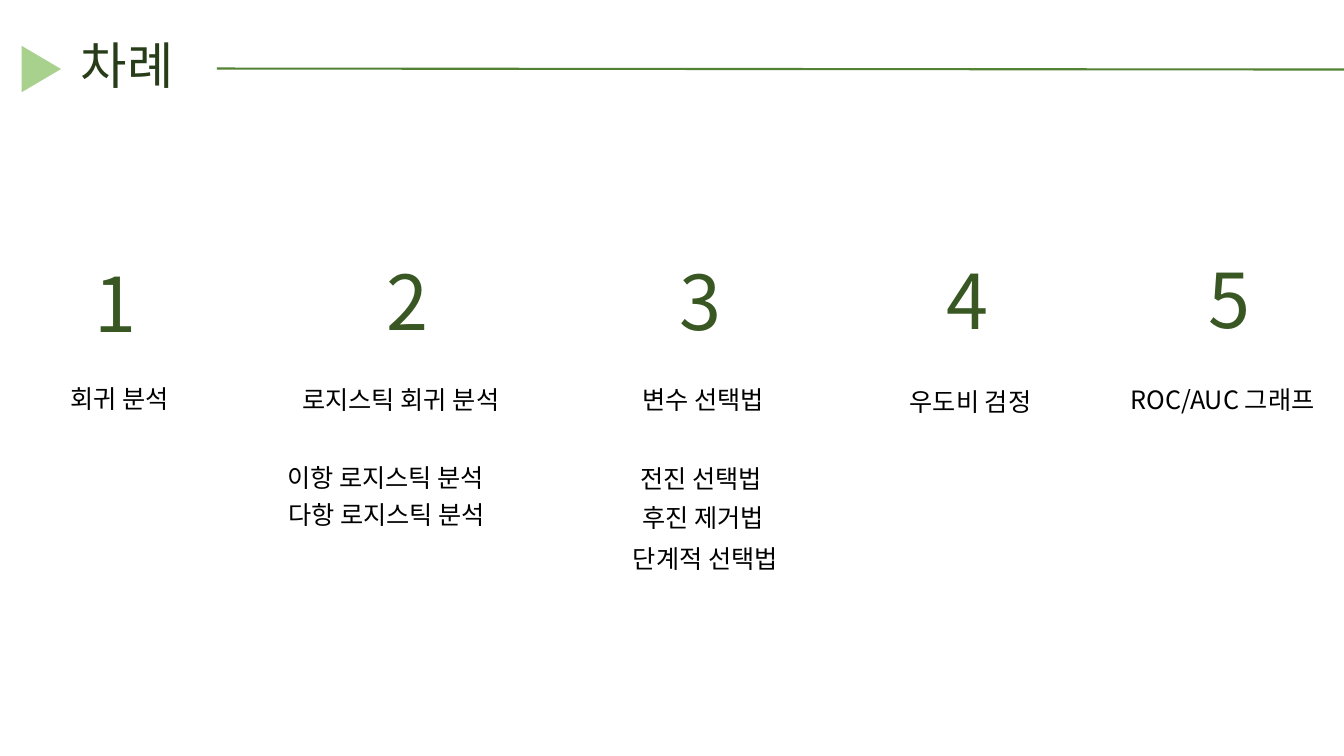
from dataclasses import dataclass

from lxml.etree import SubElement
from pptx import Presentation
from pptx.dml.color import RGBColor
from pptx.enum.shapes import MSO_CONNECTOR, MSO_SHAPE
from pptx.enum.text import MSO_ANCHOR, MSO_AUTO_SIZE, PP_ALIGN
from pptx.oxml.ns import qn
from pptx.util import Inches, Pt

COLORS = {"title": "273C18", "number": "385723", "text": "000000",
          "line": "548235", "mark": "A9D18E"}
SANS = "Noto Sans CJK KR"
COLS, ROWS = 133.3, 75  # grid of tenths of an inch


def cell(count: float) -> int:
    return Inches(count / 10)


def color(name: str) -> RGBColor:
    return RGBColor.from_string(COLORS[name])


@dataclass
class Style:
    size: int
    color: str
    high: float
    frame: dict
    para: dict
    face: str = SANS


@dataclass
class Label:
    text: str
    mid: float
    top: float
    wide: float
    style: Style


GROW = {"word_wrap": True, "auto_size": MSO_AUTO_SIZE.SHAPE_TO_FIT_TEXT}
MIDDLE = {"word_wrap": True, "vertical_anchor": MSO_ANCHOR.MIDDLE}
CENTER = {"alignment": PP_ALIGN.CENTER}
LEFT = {"alignment": PP_ALIGN.LEFT}

TITLE = Style(36, "title", 8.5, MIDDLE | {"margin_left": cell(3.7)},
              CENTER | {"line_spacing": 0.9}, "Arial")
NUMBER = Style(54, "number", 15.7, MIDDLE, CENTER)
HEAD = Style(18, "text", 4, GROW, CENTER)
ITEM = Style(18, "text", 4, GROW, LEFT, "Arial")

# Numbers: column centre and top
DIGITS = [(11.45, 22.1), (40.45, 21.9), (69.5, 21.9), (96, 21.8), (121.9, 21.7)]

LABELS = [
    Label("차례", 11.25, 2.5, 20.3, TITLE),
    *(Label(str(n), mid, top, 15.6, NUMBER)
      for n, (mid, top) in enumerate(DIGITS, 1)),
    # Topics
    Label("회귀 분석", 11.9, 37.5, 23.8, HEAD),
    Label("로지스틱 회귀 분석", 39.75, 37.6, 24.9, HEAD),
    Label("변수 선택법", 69.75, 37.6, 24.3, HEAD),
    Label("우도비 검정", 96.25, 37.8, 27.1, HEAD),
    Label("ROC/AUC 그래프", 121.25, 37.6, 24.3, HEAD),
    # Methods under topics 2 and 3
    Label("이항 로지스틱 분석", 39.65, 45.4, 24.3, ITEM),
    Label("다항 로지스틱 분석", 39.75, 49, 24.3, ITEM),
    Label("전진 선택법", 69.55, 45.5, 24.3, HEAD),
    Label("후진 제거법", 69.75, 49.3, 24.3, HEAD),
    Label("단계적 선택법", 69.95, 53.4, 24.3, HEAD),
]


def apply(target: object, values: dict) -> None:
    for key, value in values.items():
        setattr(target, key, value)


def write(slide, label: Label) -> None:
    style = label.style
    box = slide.shapes.add_textbox(cell(label.mid - label.wide / 2), cell(label.top),
                                   cell(label.wide), cell(style.high))
    apply(box.text_frame, style.frame)
    para = box.text_frame.paragraphs[0]
    apply(para, style.para)
    run = para.add_run()
    run.text = label.text
    apply(run.font, {"size": Pt(style.size), "name": style.face})
    run.font.color.rgb = color(style.color)
    SubElement(run.font._element, qn("a:ea")).set("typeface", SANS)


deck = Presentation()
apply(deck, {"slide_width": cell(COLS), "slide_height": cell(ROWS)})
page = deck.slides.add_slide(deck.slide_layouts[6])

# Header rule
rule = page.shapes.add_connector(MSO_CONNECTOR.STRAIGHT, cell(21.5), cell(6.8),
                                 cell(COLS), cell(6.9))
rule.line.color.rgb = color("line")
rule.line.width = Pt(1.5)
SubElement(rule._element.spPr, qn("a:effectLst"))

# Header marker
mark = page.shapes.add_shape(MSO_SHAPE.ISOSCELES_TRIANGLE, cell(1.8), cell(4.9),
                             cell(4.6), cell(3.9))
mark.rotation = 90
mark.shadow.inherit = False
mark.fill.solid()
mark.fill.fore_color.rgb = color("mark")
mark.line.fill.background()

# Title, numbers, topics and methods
for label in LABELS:
    write(page, label)

deck.save("out.pptx")
